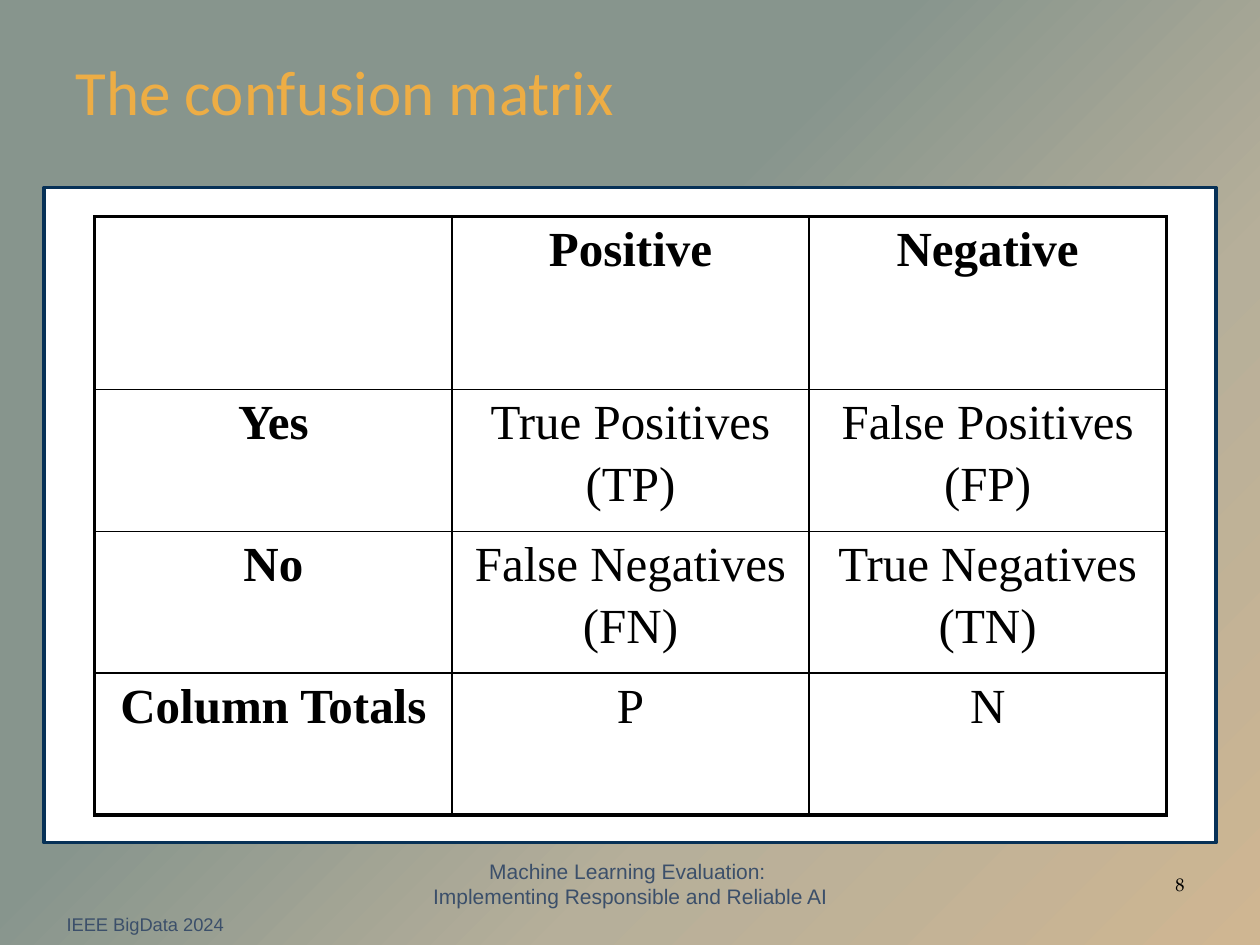
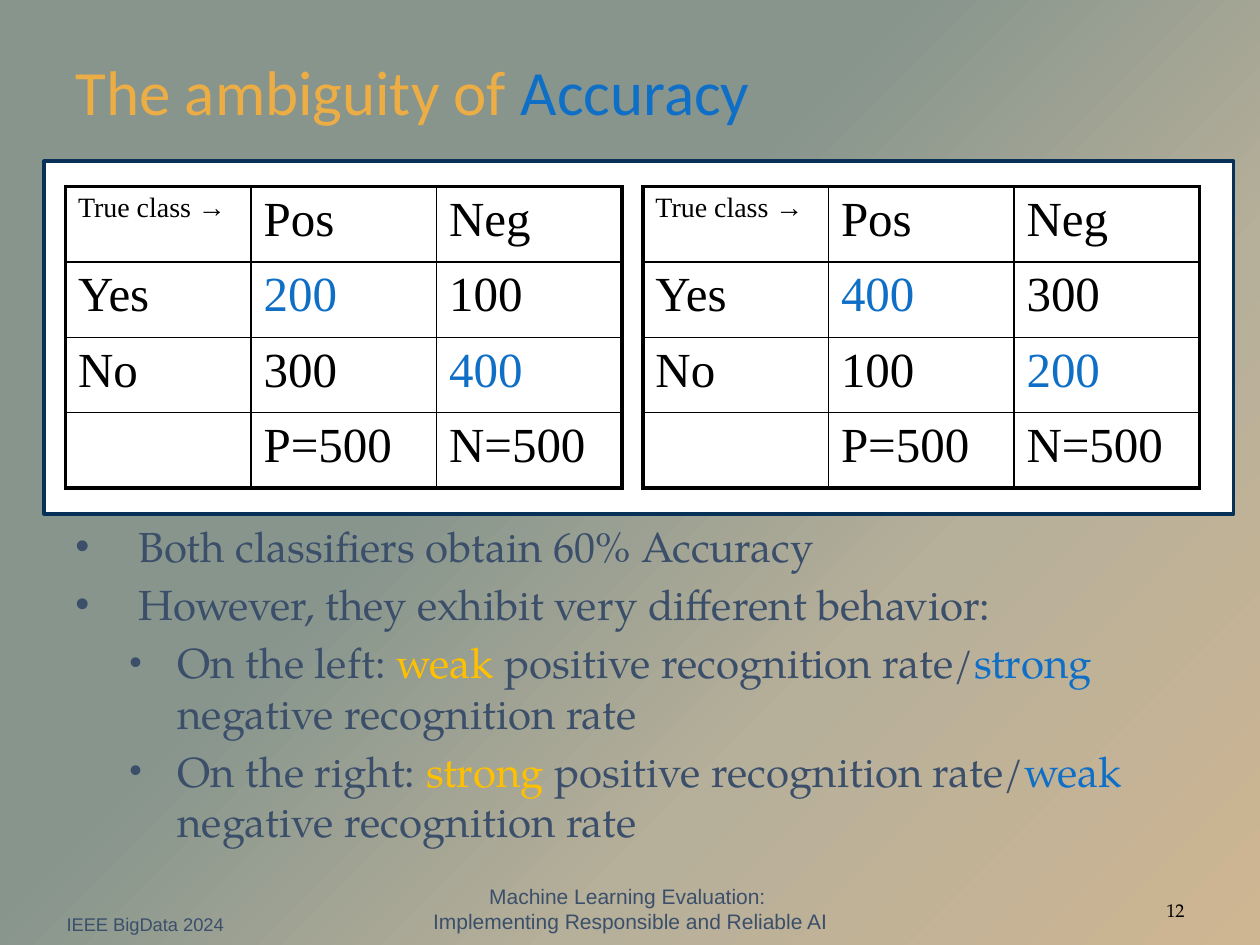
import pptx
import pptx.oxml
import pptx.oxml.ns
import pptx.util
from pptx.dml.color import RGBColor
from pptx.enum.shapes import MSO_SHAPE
from pptx.enum.text import MSO_ANCHOR, PP_ALIGN
from pptx.util import Cm, Pt

GOLD = RGBColor(0xED, 0xAD, 0x45)
BLUE = RGBColor(0x0F, 0x6F, 0xC6)
YELLOW = RGBColor(0xFF, 0xC0, 0x00)
SLATE = RGBColor(0x3B, 0x4F, 0x6A)
NAVY = RGBColor(0x07, 0x31, 0x57)
BLACK = RGBColor(0, 0, 0)
WHITE = RGBColor(0xFF, 0xFF, 0xFF)
SERIF = "TeX Gyre Pagella"
PARAGRAPH_GAP = Pt(4.5)
NAMESPACES = pptx.oxml.ns.nsdecls("a", "p")


def add_runs(paragraph, parts, font_name, size):
    """Add (text, colour) parts to a paragraph."""
    for text, colour in parts:
        run = paragraph.add_run()
        run.text = text
        run.font.name = font_name
        run.font.size = size
        run.font.color.rgb = colour


def add_matrix(slide, left, top, column_width, row_heights, rows, alignment):
    """Add a ruled table with a heavy outer frame and thin inner lines."""
    row_count, column_count = len(rows), len(rows[0])
    table = slide.shapes.add_table(row_count, column_count, left, top,
                                   column_width * column_count, sum(row_heights)).table
    table.first_row = table.horz_banding = False
    for column in table.columns:
        column.width = column_width
    for r, row in enumerate(rows):
        table.rows[r].height = row_heights[r]
        for c, text in enumerate(row):
            cell = table.cell(r, c)
            cell.text = text
            for i, paragraph in enumerate(cell.text_frame.paragraphs):
                paragraph.alignment = alignment
                if i:
                    paragraph.space_before = PARAGRAPH_GAP
                for run in paragraph.runs:
                    run.font.name = "Times New Roman"
                    run.font.size = Pt(28)
                    run.font.color.rgb = BLACK
            outer_sides = {"L": c == 0, "R": c == column_count - 1,
                           "T": r == 0, "B": r == row_count - 1}
            for side, is_outer in outer_sides.items():
                width = Pt(2.25 if is_outer else 1)
                cell._tc.get_or_add_tcPr().append(pptx.oxml.parse_xml(
                    f'<a:ln{side} {NAMESPACES} w="{width}"><a:solidFill>'
                    f'<a:srgbClr val="{BLACK}"/></a:solidFill></a:ln{side}>'))
            cell.fill.solid()
            cell.fill.fore_color.rgb = WHITE
    return table


presentation = pptx.Presentation()
presentation.slide_width = Cm(25.4)
presentation.slide_height = Cm(19.05)

# Shared gradient background on the master
gradient_stops = [(0, "CFB692"), (32, "B6AF9A"), (59, "87958D"), (100, "87958D")]
stops_xml = "".join(f'<a:gs pos="{position * 1000}"><a:srgbClr val="{colour}"/></a:gs>'
                    for position, colour in gradient_stops)
master_content = presentation.slide_master.element.cSld
for old_background in master_content.findall(pptx.oxml.ns.qn("p:bg")):
    master_content.remove(old_background)
master_content.insert(0, pptx.oxml.parse_xml(
    f'<p:bg {NAMESPACES}><p:bgPr><a:gradFill rotWithShape="1"><a:gsLst>{stops_xml}</a:gsLst>'
    '<a:path path="circle"><a:fillToRect l="100000" t="100000"/></a:path></a:gradFill>'
    '<a:effectLst/></p:bgPr></p:bg>'))

# Title, footers and white panel of each slide:
# title parts, number, top of centre footer, panel (top, width, height)
frames = [
    ([("The confusion matrix", GOLD)], "8", 17.3, (3.78, 23.62, 13.21)),
    ([("The ambiguity of ", GOLD), ("Accuracy", BLUE)], "12", 17.81, (3.25, 23.98, 7.11)),
]
for title_parts, number, footer_top, (panel_top, panel_width, panel_height) in frames:
    slide = presentation.slides.add_slide(presentation.slide_layouts[5])
    title = slide.shapes.title
    title.left, title.top, title.width, title.height = Cm(1.27), Cm(0.86), Cm(22.86), Cm(3.18)
    title.text_frame.vertical_anchor = MSO_ANCHOR.TOP
    title.text_frame.margin_top = Cm(0.2)
    title.text_frame.paragraphs[0].alignment = PP_ALIGN.LEFT
    add_runs(title.text_frame.paragraphs[0], title_parts, "Calibri", Pt(36))

    footers = [
        ("IEEE BigData 2024", -0.03, 17.83, 5.92, "Arial", 10.5, SLATE),
        ("Machine Learning Evaluation: \nImplementing Responsible and Reliable AI",
         8.05, footer_top, 9.32, "Arial", 12, SLATE),
        (number, 17.91, footer_top + 0.02, 6.22, SERIF, 10.5, BLACK),
    ]
    for text, left, top, width, font_name, size, colour in footers:
        is_number = text == number
        footer = slide.shapes.add_textbox(Cm(left), Cm(top), Cm(width), Cm(1.02))
        frame = footer.text_frame
        frame.word_wrap = True
        frame.text = text
        frame.vertical_anchor = MSO_ANCHOR.MIDDLE if is_number else MSO_ANCHOR.BOTTOM
        if not is_number:
            frame.margin_left = frame.margin_right = frame.margin_top = frame.margin_bottom = 0
        for paragraph in frame.paragraphs:
            paragraph.alignment = PP_ALIGN.RIGHT if is_number else PP_ALIGN.CENTER
            font = paragraph.runs[0].font
            font.name, font.size = font_name, Pt(size)
            font.color.rgb = colour

    panel = slide.shapes.add_shape(MSO_SHAPE.RECTANGLE, Cm(0.89), Cm(panel_top),
                                   Cm(panel_width), Cm(panel_height))
    panel.shadow.inherit = False
    panel.fill.solid()
    panel.fill.fore_color.rgb = WHITE
    panel.line.color.rgb = NAVY
    panel.line.width = Pt(2)

matrix_slide, accuracy_slide = presentation.slides

# Confusion matrix with bold headings
confusion_rows = [
    ["", "Positive", "Negative"],
    ["Yes", "True Positives\n(TP)", "False Positives\n(FP)"],
    ["No", "False Negatives\n(FN)", "True Negatives\n(TN)"],
    ["Column Totals", "P", "N"],
]
confusion_table = add_matrix(matrix_slide, Cm(1.91), Cm(4.37), Cm(7.2),
                             [Cm(3.48)] + [Cm(2.86)] * 3, confusion_rows, PP_ALIGN.CENTER)
for r in range(4):
    for c in range(3):
        if r == 0 or c == 0:
            for run in confusion_table.cell(r, c).text_frame.paragraphs[0].runs:
                run.font.bold = True

# Two classifiers side by side, correct counts in blue
classifiers = [
    (1.32, ["200", "100"], ["300", "400"]),
    (12.96, ["400", "300"], ["100", "200"]),
]
for left, yes_counts, no_counts in classifiers:
    classifier_rows = [["True class →", "Pos", "Neg"], ["Yes"] + yes_counts,
                       ["No"] + no_counts, ["", "P=500", "N=500"]]
    classifier_table = add_matrix(accuracy_slide, Cm(left), Cm(3.76), Cm(3.74),
                                  [Cm(1.52)] * 4, classifier_rows, PP_ALIGN.LEFT)
    classifier_table.cell(0, 0).text_frame.paragraphs[0].runs[0].font.size = Pt(16)
    for diagonal in (1, 2):
        correct_cell = classifier_table.cell(diagonal, diagonal)
        correct_cell.text_frame.paragraphs[0].runs[0].font.color.rgb = BLUE

# Bulleted conclusions: level and coloured parts
conclusions = [
    (0, [("Both classifiers obtain 60% Accuracy", SLATE)]),
    (0, [("However, they exhibit very different behavior:", SLATE)]),
    (1, [("On the left: ", SLATE), ("weak ", YELLOW), ("positive recognition rate/", SLATE),
         ("strong ", BLUE), ("negative recognition rate", SLATE)]),
    (1, [("On the right: ", SLATE), ("strong", YELLOW), (" positive recognition rate/", SLATE),
         ("weak ", BLUE), ("negative recognition rate", SLATE)]),
]
bullet_styles = [(1.27, -1.27, 95), (2.06, -0.97, 85)]  # margin, indent, size in percent
body = accuracy_slide.shapes.add_textbox(Cm(1.27), Cm(10.36), Cm(22.53), Cm(7.98))
body.text_frame.word_wrap = True
for i, (level, parts) in enumerate(conclusions):
    paragraph = body.text_frame.add_paragraph() if i else body.text_frame.paragraphs[0]
    margin, indent, bullet_size = bullet_styles[level]
    paragraph.level = level
    if i:
        paragraph.space_before = PARAGRAPH_GAP
    properties = paragraph._p.get_or_add_pPr()
    properties.set("marL", str(Cm(margin)))
    properties.set("indent", str(Cm(indent)))
    for bullet_xml in (f'<a:buClr {NAMESPACES}><a:srgbClr val="{SLATE}"/></a:buClr>',
                       f'<a:buSzPct {NAMESPACES} val="{bullet_size * 1000}"/>',
                       f'<a:buFont {NAMESPACES} typeface="Arial"/>',
                       f'<a:buChar {NAMESPACES} char="•"/>'):
        properties.append(pptx.oxml.parse_xml(bullet_xml))
    add_runs(paragraph, parts, SERIF, Pt(24))

presentation.save("out.pptx")
